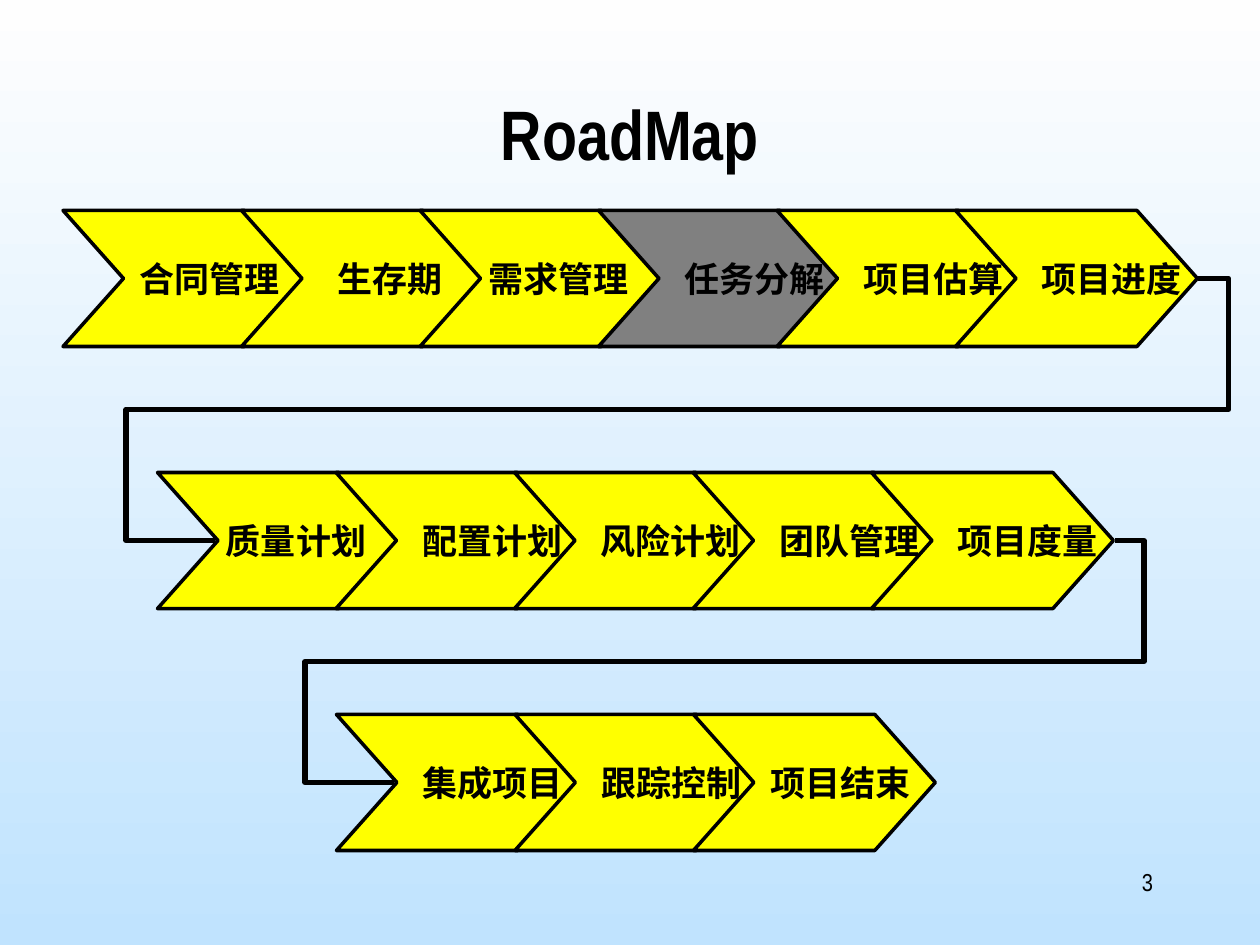
"""Build the RoadMap slide: three rows of chevron steps joined by bent connectors."""
from lxml.etree import SubElement
from pptx import Presentation
from pptx.dml.color import RGBColor
from pptx.enum.shapes import MSO_CONNECTOR
from pptx.enum.text import MSO_ANCHOR as Anchor, PP_ALIGN as Align
from pptx.oxml.ns import qn
from pptx.util import Inches, Pt


def color(hex_text):
    return RGBColor.from_string(hex_text)


def write(para, text, size, bold, align):
    para.alignment = align
    span = para.add_run()
    span.text = text
    span.font.name = "Arial Narrow"
    span.font.size = Pt(size)
    span.font.bold = bold
    span.font.color.rgb = color("000000")


WIDTH, HEIGHT, POINT = 1.92, 1.08, 0.48
STEP = 17 / 12
ROWS = [
    (0.5, 1.67, [("合同管理", 0.2), ("生存期", 0.22), ("需求管理", 0.14),
                 ("任务分解", 0.28), ("项目估算", 0.28), ("项目进度", 0.28)]),
    (1.25, 3.75, [("质量计划", 0.14), ("配置计划", 0.28), ("风险计划", 0.28),
                  ("团队管理", 0.28), ("项目度量", 0.28)]),
    (2.67, 5.67, [("集成项目", 0.28), ("跟踪控制", 0.28), ("项目结束", 0.21)]),
]
CURRENT_STEP = "任务分解"
LINKS = [
    ((9.51, 2.21), (1.71, 4.29), (9.75, 1)),
    ((8.85, 4.29), (3.13, 6.21), (9.08, 2.42)),
]

deck = Presentation()
deck.slide_width, deck.slide_height = Inches(10), Inches(7.5)
page = deck.slides.add_slide(deck.slide_layouts[5])

backdrop = page.background.fill
backdrop.gradient()
backdrop.gradient_angle = 270
for stop, shade in zip(backdrop.gradient_stops, ("FEFEFE", "C0E3FE")):
    stop.color.rgb = color(shade)

title = page.shapes.title
title.left, title.top = Inches(0.75), Inches(0.67)
title.width, title.height = Inches(8.5), Inches(1.25)
title.text_frame.vertical_anchor = Anchor.TOP
write(title.text_frame.paragraphs[0], "RoadMap", 40, True, Align.CENTER)

for (start_x, start_y), (end_x, end_y), (first_x, last_x) in LINKS:
    link = page.shapes.add_connector(
        MSO_CONNECTOR.ELBOW, Inches(start_x), Inches(start_y), Inches(end_x), Inches(end_y))
    link.line.color.rgb = color("000000")
    link.line.width = Pt(3)
    properties = link._element.spPr
    SubElement(properties, qn("a:effectLst"))
    geometry = properties.find(qn("a:prstGeom"))
    geometry.set("prst", "bentConnector5")
    guides = geometry.find(qn("a:avLst"))
    span_x = start_x - end_x
    bends = ((start_x - first_x) / span_x, 0.5, (start_x - last_x) / span_x)
    for number, bend in enumerate(bends, 1):
        SubElement(guides, qn("a:gd"), name=f"adj{number}", fmla=f"val {round(bend * 100000)}")

for row_left, top, steps in ROWS:
    for index, (label, shift) in enumerate(steps):
        left = row_left + index * STEP
        shoulder, middle, bottom = left + WIDTH - POINT, top + HEIGHT / 2, top + HEIGHT
        outline = page.shapes.build_freeform(Inches(left), Inches(top))
        corners = [(shoulder, top), (left + WIDTH, middle), (shoulder, bottom),
                   (left, bottom), (left + POINT, middle)]
        outline.add_line_segments([(Inches(x), Inches(y)) for x, y in corners], close=True)
        chevron = outline.convert_to_shape()
        chevron.shadow.inherit = False
        chevron.fill.solid()
        chevron.fill.fore_color.rgb = color("808080" if label == CURRENT_STEP else "FFFF00")
        chevron.line.color.rgb = color("000000")
        chevron.line.width = Pt(2)
        frame = chevron.text_frame
        frame.word_wrap = False
        frame.vertical_anchor = Anchor.MIDDLE
        frame.margin_left, frame.margin_right = Inches(2 * shift), 0
        write(frame.paragraphs[0], label, 20, True, Align.CENTER)

number_box = page.shapes.add_textbox(Inches(7.17), Inches(6.83), Inches(2.08), Inches(0.5))
number_box.text_frame.word_wrap = True
write(number_box.text_frame.paragraphs[0], "3", 14, False, Align.RIGHT)

deck.save("out.pptx")
